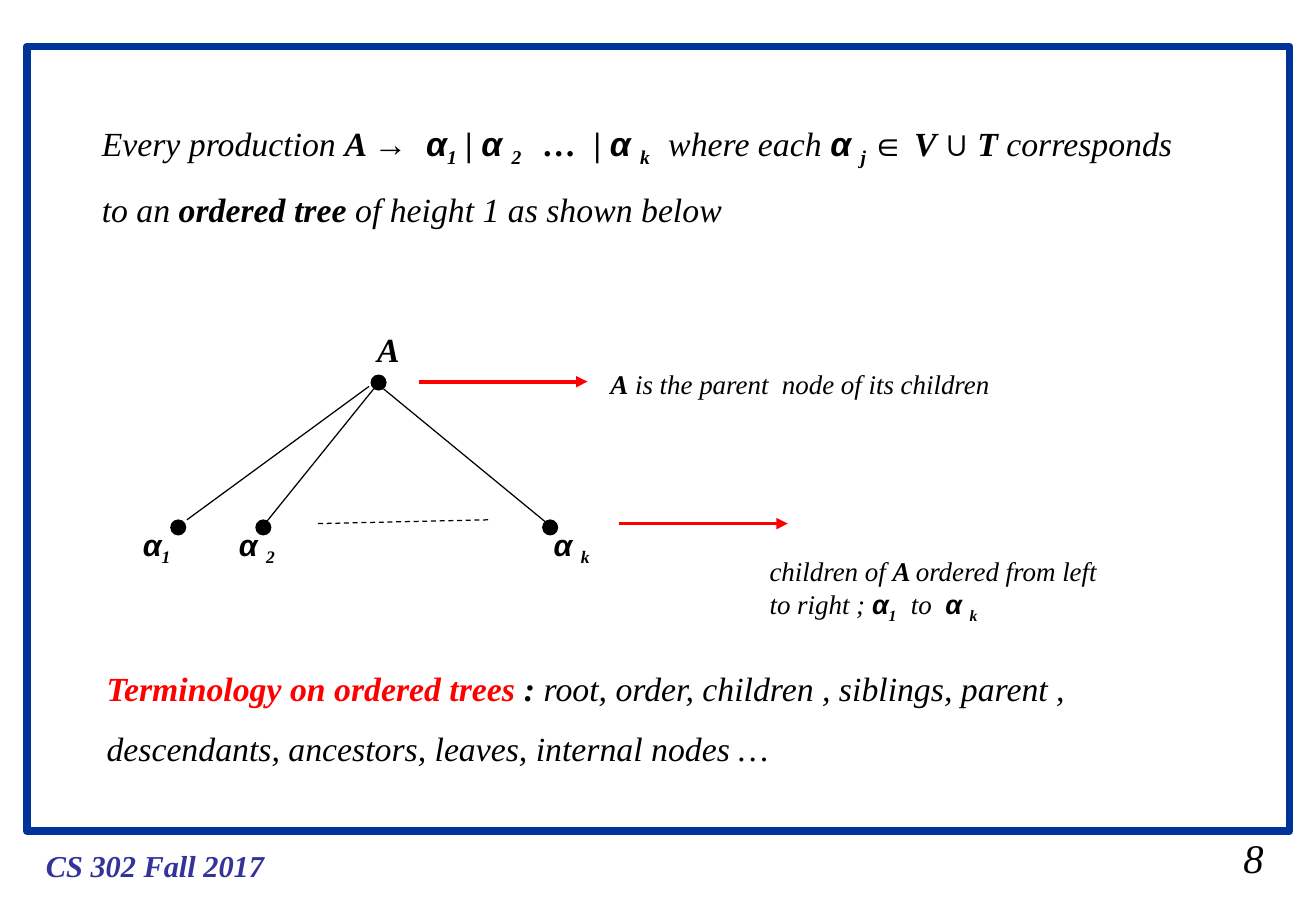
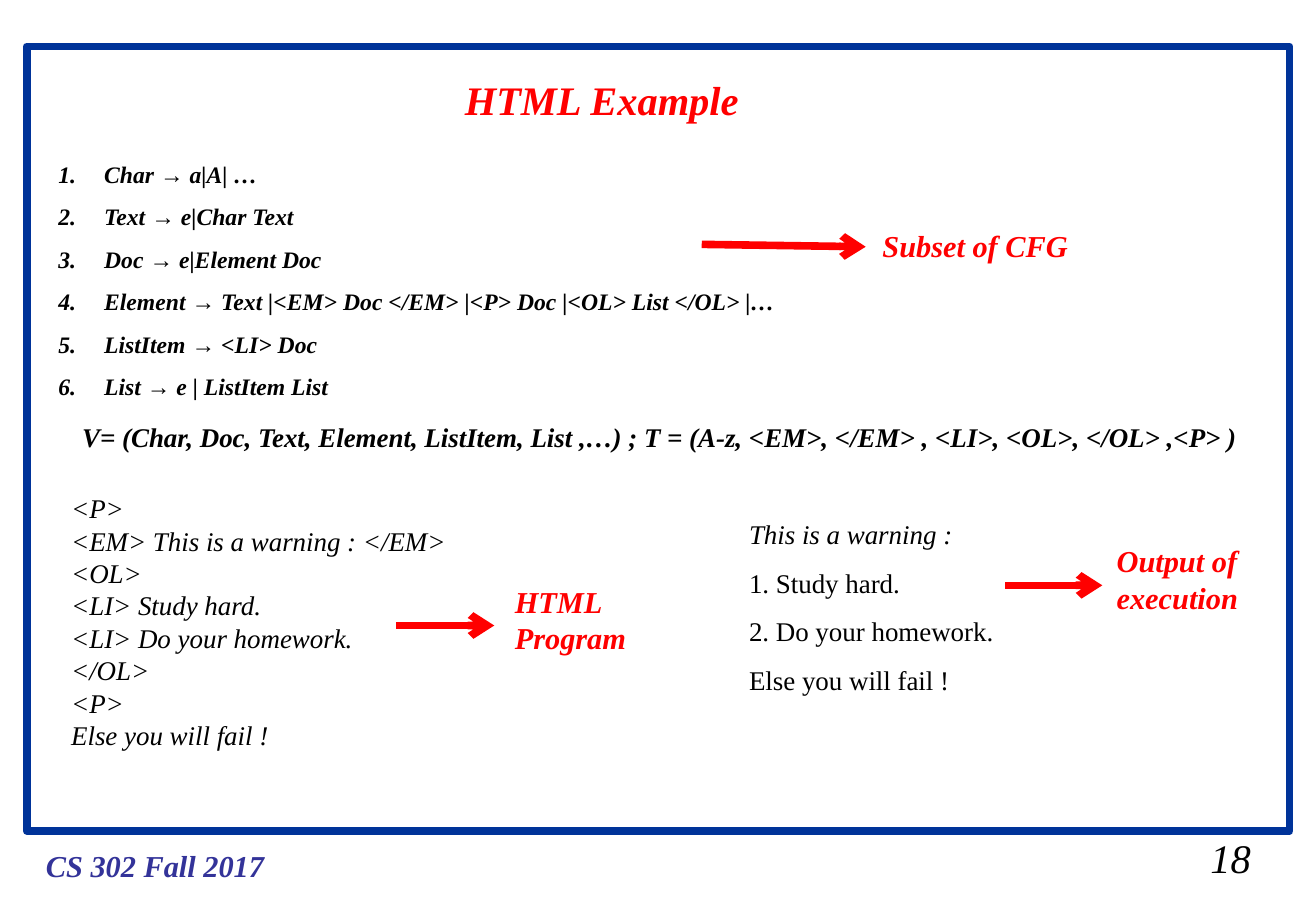
import pptx
import pptx.dml.color
import pptx.enum.dml
import pptx.enum.shapes
import pptx.enum.text
import pptx.oxml
import pptx.oxml.ns
import pptx.util
from lxml import etree

Cm = pptx.util.Cm
Pt = pptx.util.Pt
qn = pptx.oxml.ns.qn

BLACK, RED, FRAME, FOOTER = "000000", "FF0000", "003399", "333399"
SERIF, SANS = "Times New Roman", "Arial"
TITLE_ONLY, BLANK = 5, 6


def colour(value):
    return pptx.dml.color.RGBColor.from_string(value)


def format_span(span, style, size, ink):
    """Style letters: b bold, a sans font, s subscript, u upright, r red."""
    span.font.size = Pt(size)
    span.font.name = SANS if "a" in style else SERIF
    span.font.bold = "b" in style
    span.font.italic = "u" not in style
    span.font.color.rgb = colour(RED if "r" in style else ink)
    if "s" in style:
        span.font._element.set("baseline", "-25000")


def number_paragraph(para, indent):
    properties = para._p.get_or_add_pPr()
    properties.set("marL", str(Cm(indent)))
    properties.set("indent", str(-Cm(indent)))
    bullet_colour = etree.SubElement(properties, qn("a:buClr"))
    etree.SubElement(bullet_colour, qn("a:srgbClr")).set("val", BLACK)
    etree.SubElement(properties, qn("a:buAutoNum")).set("type", "arabicPeriod")


def fill_text(frame, paragraphs, size, ink=BLACK, style="", spacing=None,
              wrap=False, numbered=False):
    """Each paragraph is a string, or a list of (text, style) spans."""
    frame.word_wrap = wrap
    frame.auto_size = pptx.enum.text.MSO_AUTO_SIZE.NONE
    frame.vertical_anchor = pptx.enum.text.MSO_ANCHOR.TOP
    for index, content in enumerate(paragraphs):
        para = frame.add_paragraph() if index else frame.paragraphs[0]
        para.alignment = pptx.enum.text.PP_ALIGN.LEFT
        if numbered:
            number_paragraph(para, 0.96)
        if spacing:
            para.line_spacing = spacing
        if isinstance(content, str):
            content = [(content, style)]
        for text, span_style in content:
            span = para.add_run()
            span.text = text
            format_span(span, span_style, size, ink)


def place(shape, box):
    shape.left, shape.top, shape.width, shape.height = map(Cm, box)


def add_text(page, box, paragraphs, size, **options):
    shape = page.shapes.add_textbox(*map(Cm, box))
    fill_text(shape.text_frame, paragraphs, size, **options)


def add_line(page, start, end, ink=BLACK, width=0.75, head=None, dashed=False):
    line = page.shapes.add_connector(
        pptx.enum.shapes.MSO_CONNECTOR.STRAIGHT, *map(Cm, start + end))
    line.line.color.rgb = colour(ink)
    line.line.width = Pt(width)
    if dashed:
        line.line.dash_style = pptx.enum.dml.MSO_LINE.DASH
    if head:
        etree.SubElement(line.line._get_or_add_ln(), qn("a:tailEnd")).set("type", head)
    etree.SubElement(line._element.spPr, qn("a:effectLst"))


def add_dot(page, x, y, diameter=0.31):
    dot = page.shapes.add_shape(
        pptx.enum.shapes.MSO_SHAPE.OVAL, Cm(x - diameter / 2),
        Cm(y - diameter / 2), Cm(diameter), Cm(diameter))
    dot.shadow.inherit = False
    dot.fill.solid()
    dot.fill.fore_color.rgb = colour(BLACK)
    dot.line.color.rgb = colour(BLACK)
    dot.line.width = Pt(0.75)


def add_page(deck, layout, number, number_left):
    """Adds a slide with the shared frame, footer and page number."""
    page = deck.slides.add_slide(deck.slide_layouts[layout])
    frame = page.shapes.add_shape(
        pptx.enum.shapes.MSO_SHAPE.RECTANGLE, Cm(0.56), Cm(0.97), Cm(26.42), Cm(16.41))
    frame.shadow.inherit = False
    frame.fill.background()
    frame.line.color.rgb = colour(FRAME)
    frame.line.width = Pt(4.5)
    add_text(page, (0.71, 17.6, 5.08, 1.02), ["CS 302 Fall 2017"], 18,
             ink=FOOTER, style="b")
    add_text(page, (number_left, 17.3, 0.45 + 0.45 * len(number), 1.27), [number], 24)
    return page


def add_callout(page, start, reach, text_box, paragraphs, size, width, head,
                drop=0, **options):
    """A red arrow from start, with text in a box relative to start."""
    x, y = start
    add_line(page, start, (x + reach, y + drop), RED, width, head)
    left, top, box_width, box_height = text_box
    add_text(page, (x + left, y + top, box_width, box_height), paragraphs, size,
             **options)


def alpha(index, gap=" "):
    return [("α" + gap, "ab"), (index, "bs")]


def add_tree(page, left, top):
    root_x, root_y, leaf_y = left + 5.18, top + 1.24, top + 4.27
    add_text(page, (left + 4.9, top, 0.97, 1.12), ["A"], 20, style="b")
    add_dot(page, root_x, root_y)
    # leaf x, label x, label, edge start and edge end
    leaves = [
        (0.99, 0, alpha("1", ""), (4.98, 1.32), (1.17, 4.11)),
        (2.77, 2.01, alpha("2"), (5.08, 1.37), (2.82, 4.17)),
        (8.77, 8.59, alpha("k"), (5.28, 1.37), (8.69, 4.17)),
    ]
    for leaf_x, label_x, label, start, end in leaves:
        add_line(page, (left + start[0], top + start[1]), (left + end[0], top + end[1]))
        add_dot(page, left + leaf_x, leaf_y)
        add_text(page, (left + label_x, top + 4.11, 1.24, 1.12), [label], 18)
    add_line(page, (left + 3.91, top + 4.19), (left + 7.47, top + 4.11), dashed=True)


def build_tree_page(deck):
    page = add_page(deck, BLANK, "8", 25.76)
    production = [
        ("Every production ", ""), ("A ", "b"), ("→  ", "ab"), *alpha("1", ""),
        (" | ", "b"), *alpha("2 "), ("  …  | ", "b"), *alpha("k  "),
        (" where each ", ""), *alpha("j "), ("∈ ", "a"), ("V ", "b"),
        ("∪", "ab"), (" T ", "b"), ("corresponds to an ", ""),
        ("ordered tree", "b"), (" of height 1 as shown below", ""),
    ]
    add_text(page, (1.88, 1.96, 23.55, 2.97), [production], 20, spacing=1.5, wrap=True)
    add_tree(page, 2.74, 6.76)
    arrow = {"size": 16, "width": 2.25, "head": "triangle"}
    add_callout(page, (8.76, 7.98), 3.53, (3.76, -0.41, 8.48, 0.94),
                [[("A", "b"), (" is the parent  node of its children", "")]], **arrow)
    add_callout(page, (12.95, 10.95), 3.53, (2.9, 0.53, 7.59, 1.7), [
        [("children of ", ""), ("A ", "b"), ("ordered from left", "")],
        [("to right ; ", ""), *alpha("1  ", ""), (" to  ", ""), *alpha("k")],
    ], **arrow)
    add_text(page, (1.98, 13.41, 20.8, 2.79), [
        [("Terminology on ordered trees ", "br"), (": ", "b"),
         ("root, order, children , siblings, parent ,", "")],
        "descendants, ancestors, leaves, internal nodes …",
    ], 20, spacing=1.5)


def build_html_page(deck):
    page = add_page(deck, TITLE_ONLY, "18", 25.07)
    title = page.shapes.title
    place(title, (9.47, 1.45, 6.27, 1.27))
    fill_text(title.text_frame, ["HTML Example"], 24, ink=RED, style="b")

    rules = [
        ("Char", "a|A| …"),
        ("Text", "e|Char Text"),
        ("Doc", "e|Element Doc"),
        ("Element", "Text |<EM> Doc </EM> |<P> Doc |<OL> List </OL> |…"),
        ("ListItem", "<LI> Doc"),
        ("List", "e | ListItem List"),
    ]
    add_text(page, (0.97, 2.92, 15.54, 5.59),
             [[(name + " ", "b"), ("→", "ab"), (" " + body, "b")] for name, body in rules],
             14, spacing=1.5, numbered=True)
    add_text(page, (1.47, 8.66, 24.74, 0.94), [
        "V= (Char, Doc, Text, Element, ListItem, List ,…) ; "
        "T = (A-z, <EM>, </EM> , <LI>, <OL>, </OL> ,<P> )"], 16, style="b")
    add_text(page, (1.24, 10.16, 8.33, 5.69), [
        "<P>", "<EM> This is a warning : </EM>", "<OL>", "<LI> Study hard.",
        "<LI> Do your homework.", "</OL>", "<P>", "Else you will fail !"], 16)
    add_text(page, (15.42, 10.36, 5.61, 5.33), [
        "This is a warning :", [("1. Study hard.", "u")],
        [("2. Do your homework.", "u")], [("Else you will fail !", "u")]],
        16, spacing=1.5)

    callouts = [
        ("Subset of CFG", (14.68, 5.11), 3.43, (3.53, -0.48, 4.72, 1.02), 0.05),
        ("Output of execution", (21.03, 12.24), 2.03, (2.08, -1.02, 3.66, 1.78), 0),
        ("HTML Program", (8.28, 13.08), 2.06, (2.24, -1.02, 3.1, 1.78), 0),
    ]
    for text, start, reach, text_box, drop in callouts:
        add_callout(page, start, reach, text_box, [text], 18, 4.5, "arrow", drop,
                    ink=RED, style="b", wrap=True)


def main():
    deck = pptx.Presentation()
    deck.slide_width, deck.slide_height = Cm(27.53), Cm(19.05)
    build_tree_page(deck)
    build_html_page(deck)
    deck.save("out.pptx")


if __name__ == "__main__":
    main()
